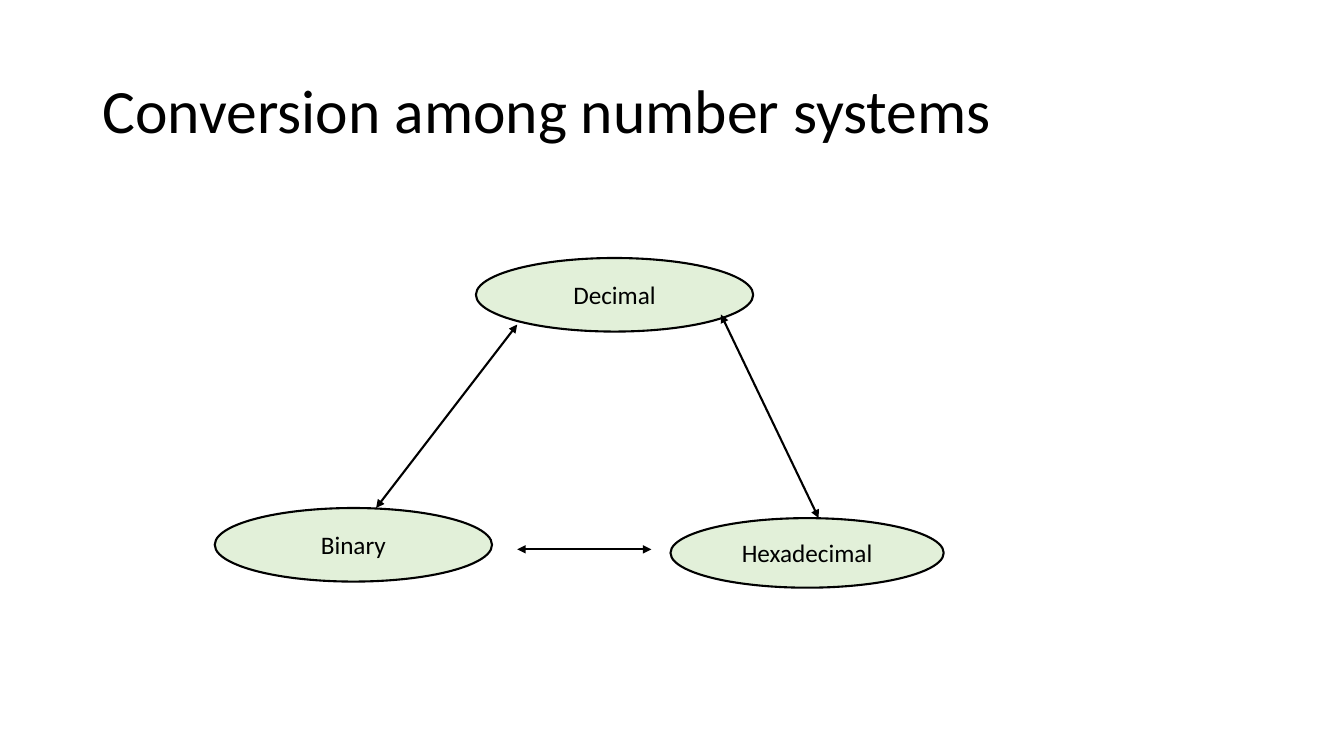
"""Builds a slide on conversion among number systems."""
from pptx import Presentation
from pptx import util as u
from pptx.dml import color
from pptx.enum import shapes, text
from pptx.oxml import ns
from lxml import etree


def rgb(value):
    return color.RGBColor.from_string(value)


class Diagram:
    ink = "000000"
    node_fill = "E2F0D9"
    typeface = "Calibri"
    line_width = 1.5

    def __init__(self, slide):
        self.slide = slide

    def apply(self, target, formats):
        for name, value in formats.items():
            setattr(target, name, value)

    def label(self, shape, wording, size, frame_format, paragraph_format):
        frame = shape.text_frame
        self.apply(frame, {"vertical_anchor": text.MSO_ANCHOR.MIDDLE, **frame_format})
        paragraph = frame.paragraphs[0]
        self.apply(paragraph, paragraph_format)
        run = paragraph.add_run()
        run.text = wording
        self.apply(run.font, {"name": self.typeface, "size": u.Pt(size)})
        run.font.color.rgb = rgb(self.ink)

    def outline(self, line):
        line.color.rgb = rgb(self.ink)
        line.width = u.Pt(self.line_width)

    def heading(self, wording, box):
        heading = self.slide.shapes.add_textbox(*map(u.Inches, box))
        self.label(heading, wording, 44, {"word_wrap": True}, {"line_spacing": 0.9})

    def node(self, wording, box):
        node = self.slide.shapes.add_shape(
            shapes.MSO_SHAPE.OVAL, *map(u.Inches, box))
        node.shadow.inherit = False
        node.fill.solid()
        node.fill.fore_color.rgb = rgb(self.node_fill)
        self.outline(node.line)
        self.label(node, wording, 18, {"word_wrap": False},
                   {"alignment": text.PP_ALIGN.CENTER})

    def arrow(self, start, end):
        arrow = self.slide.shapes.add_connector(
            shapes.MSO_CONNECTOR.STRAIGHT, *map(u.Inches, start + end))
        self.outline(arrow.line)
        properties = arrow._element.spPr
        line = properties.find(ns.qn("a:ln"))
        for tip in ("a:headEnd", "a:tailEnd"):
            etree.SubElement(line, ns.qn(tip), type="triangle")
        etree.SubElement(properties, ns.qn("a:effectLst"))


def main():
    deck = Presentation()
    deck.slide_width, deck.slide_height = u.Inches(13.33), u.Inches(7.5)
    diagram = Diagram(deck.slides.add_slide(deck.slide_layouts[6]))

    diagram.heading("Conversion among number systems", (0.92, 0.4, 11.5, 1.45))

    systems = {
        "Hexadecimal": (6.65, 5.14, 2.71, 0.69),
        "Decimal": (4.72, 2.56, 2.75, 0.73),
        "Binary": (2.13, 5.04, 2.75, 0.73),
    }
    for system, box in systems.items():
        diagram.node(system, box)

    conversions = [
        ((8.12, 5.14), (7.15, 3.12)),
        ((3.73, 5.04), (5.13, 3.22)),
        ((5.13, 5.45), (6.46, 5.45)),
    ]
    for start, end in conversions:
        diagram.arrow(start, end)

    deck.save("out.pptx")


if __name__ == "__main__":
    main()
